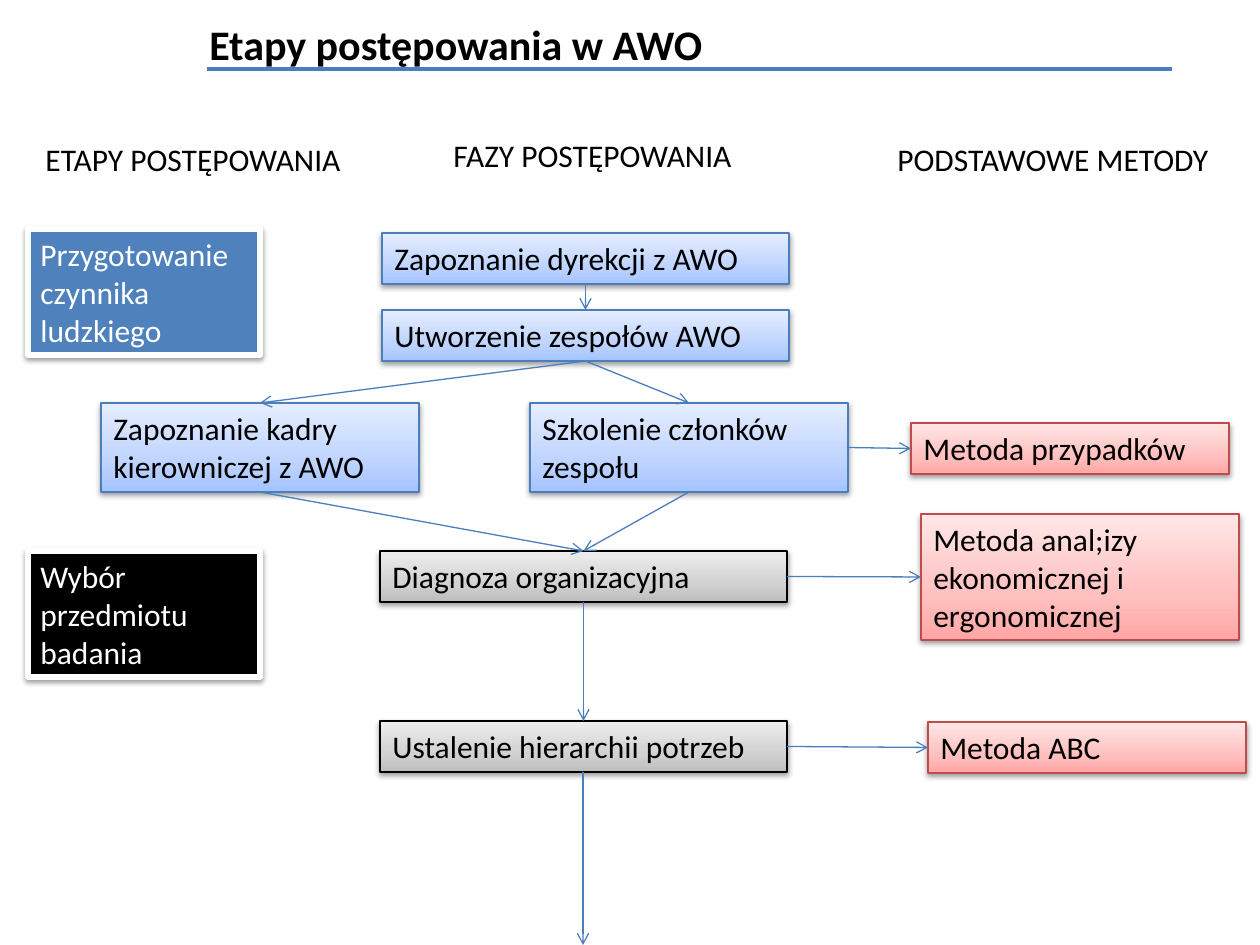
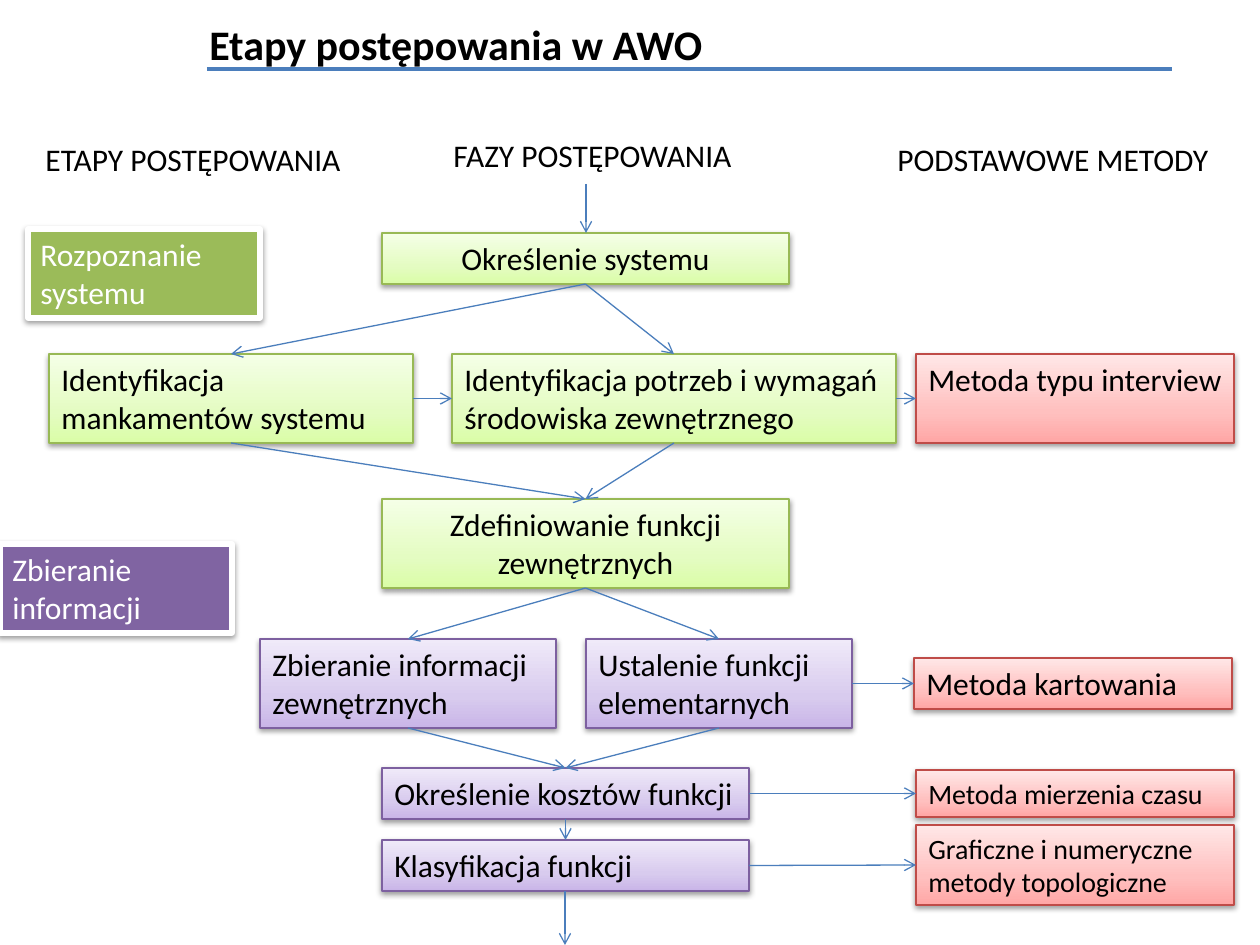
"""Builds two flowchart slides on the stages of the AWO procedure."""
import copy

import pptx
import pptx.util
from lxml import etree
from pptx.dml.color import RGBColor
from pptx.enum.shapes import MSO_CONNECTOR, MSO_SHAPE
from pptx.enum.text import MSO_ANCHOR, MSO_AUTO_SIZE, PP_ALIGN
from pptx.oxml.ns import qn

FONT = "Calibri"
WIDTH, HEIGHT = 1260, 945
BLACK = RGBColor(0x00, 0x00, 0x00)
WHITE = RGBColor(0xFF, 0xFF, 0xFF)
BLUE = RGBColor(0x4F, 0x81, 0xBD)
GREEN = RGBColor(0x9B, 0xBB, 0x59)
PURPLE = RGBColor(0x80, 0x64, 0xA2)
LINE_BLUE = RGBColor(0x4B, 0x7E, 0xBC)

BLUE_BOX = (LINE_BLUE, RGBColor(0xA4, 0xC4, 0xFF),
            RGBColor(0xBF, 0xD4, 0xFF), RGBColor(0xE6, 0xEE, 0xFF))
RED_BOX = (RGBColor(0xBF, 0x4C, 0x48), RGBColor(0xFF, 0xA6, 0xA5),
           RGBColor(0xFF, 0xC0, 0xBF), RGBColor(0xFF, 0xE7, 0xE7))
GREY_BOX = (BLACK, RGBColor(0xBD, 0xBD, 0xBD),
            RGBColor(0xD1, 0xD1, 0xD1), RGBColor(0xEE, 0xEE, 0xEE))
GREEN_BOX = (RGBColor(0x98, 0xB9, 0x55), RGBColor(0xDA, 0xFD, 0xA7),
             RGBColor(0xE4, 0xFC, 0xC2), RGBColor(0xF5, 0xFF, 0xE7))
PURPLE_BOX = (RGBColor(0x7D, 0x60, 0xA0), RGBColor(0xC9, 0xB5, 0xE8),
              RGBColor(0xD8, 0xCB, 0xEE), RGBColor(0xF0, 0xEA, 0xF9))
STOPS = (0, 0.35, 1)
TOP, LEFT, BOTTOM, RIGHT = range(4)


def px(n):
    return pptx.util.Emu(round(n * 914400 / 126))


def text_height(lines, size=18):
    return round(13 + 2.1 * size * lines)


def write(sp, text, size=18, color=BLACK, bold=False, align=PP_ALIGN.LEFT,
          anchor=MSO_ANCHOR.TOP, grow=True):
    tf = sp.text_frame
    tf.word_wrap = True
    tf.vertical_anchor = anchor
    tf.auto_size = MSO_AUTO_SIZE.SHAPE_TO_FIT_TEXT if grow else MSO_AUTO_SIZE.NONE
    p = tf.paragraphs[0]
    p.text = text
    p.alignment = align
    p.font.name = FONT
    p.font.size = pptx.util.Pt(size)
    p.font.bold = bold
    p.font.color.rgb = color


def add_label(slide, x, y, w, h, text, **style):
    sp = slide.shapes.add_textbox(px(x), px(y), px(w), px(h))
    write(sp, text, **style)


def add_shadow(sp):
    sp.shadow.inherit = False
    effects = sp._element.spPr.find(qn("a:effectLst"))
    shadow = etree.SubElement(effects, qn("a:outerShdw"), blurRad="40000",
                              dist="20000", dir="5400000", rotWithShape="0")
    color = etree.SubElement(shadow, qn("a:srgbClr"), val="000000")
    etree.SubElement(color, qn("a:alpha"), val="38000")


def add_rect(slide, x, y, w, lines, text, line, line_width, size=18, **style):
    sp = slide.shapes.add_shape(MSO_SHAPE.RECTANGLE, px(x), px(y), px(w),
                                px(text_height(lines, size)))
    sp.line.color.rgb = line
    sp.line.width = pptx.util.Pt(line_width)
    add_shadow(sp)
    write(sp, text, size, **style)
    return sp


def add_stage(slide, x, y, lines, text, color):
    sp = add_rect(slide, x, y, 232, lines, text, WHITE, 3, color=WHITE)
    sp.fill.solid()
    sp.fill.fore_color.rgb = color


def add_box(slide, x, y, w, lines, text, theme, **style):
    line, *colors = theme
    sp = add_rect(slide, x, y, w, lines, text, line, 0.75, **style)
    sp.fill.gradient()
    sp.fill.gradient_angle = 90
    stops = sp._element.spPr.find(".//" + qn("a:gsLst"))
    stops.append(copy.deepcopy(stops[0]))
    for stop, position, color in zip(sp.fill.gradient_stops, STOPS, colors):
        stop.position = position
        stop.color.rgb = color
    return sp


def add_line(slide, x1, y1, x2, y2, width=0.75, arrow=True):
    cxn = slide.shapes.add_connector(MSO_CONNECTOR.STRAIGHT, px(x1), px(y1),
                                     px(x2), px(y2))
    cxn.line.color.rgb = LINE_BLUE
    cxn.line.width = pptx.util.Pt(width)
    if arrow:
        etree.SubElement(cxn.line._get_or_add_ln(), qn("a:tailEnd"), type="arrow")
    etree.SubElement(cxn._element.spPr, qn("a:effectLst"))
    return cxn


def link(slide, start, ends, sites):
    for end in ends:
        cxn = add_line(slide, 0, 0, 0, 0)
        cxn.begin_connect(start, sites[0])
        cxn.end_connect(end, sites[1])


def link_down(slide, start, *ends):
    link(slide, start, ends, (BOTTOM, TOP))


def link_right(slide, start, *ends):
    link(slide, start, ends, (RIGHT, LEFT))


def add_base(prs):
    slide = prs.slides.add_slide(prs.slide_layouts[6])
    add_label(slide, 197, 0, 997, 88, "Etapy postępowania w AWO", size=24,
              bold=True, anchor=MSO_ANCHOR.MIDDLE, grow=False)
    add_line(slide, 207, 69, 1172, 69, width=2, arrow=False)
    for x, y, text in ((33, 134, "ETAPY POSTĘPOWANIA"),
                       (441, 130, "FAZY POSTĘPOWANIA"),
                       (885, 134, "PODSTAWOWE METODY")):
        add_label(slide, x, y, 348, text_height(1), text)
    return slide


def build_preparation(prs):
    slide = add_base(prs)
    add_stage(slide, 28, 229, 3, "Przygotowanie czynnika ludzkiego", BLUE)
    add_stage(slide, 28, 551, 3, "Wybór przedmiotu badania", BLACK)
    board = add_box(slide, 382, 233, 407, 1, "Zapoznanie dyrekcji z AWO", BLUE_BOX)
    teams = add_box(slide, 382, 310, 407, 1, "Utworzenie zespołów AWO", BLUE_BOX)
    managers = add_box(slide, 101, 403, 318, 2,
                       "Zapoznanie kadry kierowniczej z AWO", BLUE_BOX)
    training = add_box(slide, 530, 403, 318, 2,
                       "Szkolenie członków zespołu", BLUE_BOX)
    diagnosis = add_box(slide, 380, 551, 407, 1, "Diagnoza organizacyjna", GREY_BOX)
    needs = add_box(slide, 380, 721, 407, 1, "Ustalenie hierarchii potrzeb", GREY_BOX)
    cases = add_box(slide, 911, 423, 318, 1, "Metoda przypadków", RED_BOX)
    analysis = add_box(slide, 921, 514, 318, 3,
                       "Metoda anal;izy ekonomicznej i ergonomicznej", RED_BOX)
    abc = add_box(slide, 928, 722, 318, 1, "Metoda ABC", RED_BOX)

    link_down(slide, board, teams)
    link_down(slide, teams, managers, training)
    link_down(slide, managers, diagnosis)
    link_down(slide, training, diagnosis)
    link_down(slide, diagnosis, needs)
    link_right(slide, training, cases)
    link_right(slide, diagnosis, analysis)
    link_right(slide, needs, abc)
    add_line(slide, 583, 772, 583, HEIGHT)


def build_recognition(prs):
    slide = add_base(prs)
    center = PP_ALIGN.CENTER
    add_stage(slide, 28, 229, 2, "Rozpoznanie systemu", GREEN)
    add_stage(slide, 0, 544, 2, "Zbieranie informacji", PURPLE)
    system = add_box(slide, 382, 233, 407, 1, "Określenie systemu", GREEN_BOX,
                     align=center)
    flaws = add_box(slide, 49, 354, 364, 2,
                    "Identyfikacja mankamentów systemu", GREEN_BOX)
    needs = add_box(slide, 452, 354, 444, 2,
                    "Identyfikacja potrzeb i wymagań środowiska zewnętrznego",
                    GREEN_BOX)
    outer = add_box(slide, 382, 499, 407, 2, "Zdefiniowanie funkcji zewnętrznych",
                    GREEN_BOX, align=center)
    data = add_box(slide, 260, 639, 296, 2, "Zbieranie informacji zewnętrznych",
                   PURPLE_BOX)
    elements = add_box(slide, 586, 639, 266, 2, "Ustalenie funkcji elementarnych",
                       PURPLE_BOX)
    costs = add_box(slide, 382, 768, 367, 1, "Określenie kosztów funkcji", PURPLE_BOX)
    classes = add_box(slide, 382, 840, 367, 1, "Klasyfikacja funkcji", PURPLE_BOX)
    interview = add_box(slide, 916, 354, 318, 2, "Metoda typu interview", RED_BOX,
                        align=center)
    mapping = add_box(slide, 914, 658, 318, 1, "Metoda kartowania", RED_BOX)
    timing = add_box(slide, 916, 770, 318, 1, "Metoda mierzenia czasu", RED_BOX,
                     size=16)
    topology = add_box(slide, 916, 825, 318, 2,
                       "Graficzne i numeryczne metody topologiczne", RED_BOX, size=16)

    add_line(slide, 586, 184, 586, 233)
    link_down(slide, system, flaws, needs)
    link_down(slide, flaws, outer)
    link_down(slide, needs, outer)
    link_down(slide, outer, data, elements)
    link_down(slide, data, costs)
    link_down(slide, elements, costs)
    link_down(slide, costs, classes)
    link_right(slide, flaws, needs)
    link_right(slide, needs, interview)
    link_right(slide, elements, mapping)
    link_right(slide, costs, timing)
    link_right(slide, classes, topology)
    add_line(slide, 565, 891, 565, HEIGHT)


def main():
    prs = pptx.Presentation()
    prs.slide_width = px(WIDTH)
    prs.slide_height = px(HEIGHT)
    build_preparation(prs)
    build_recognition(prs)
    prs.save("out.pptx")


main()
